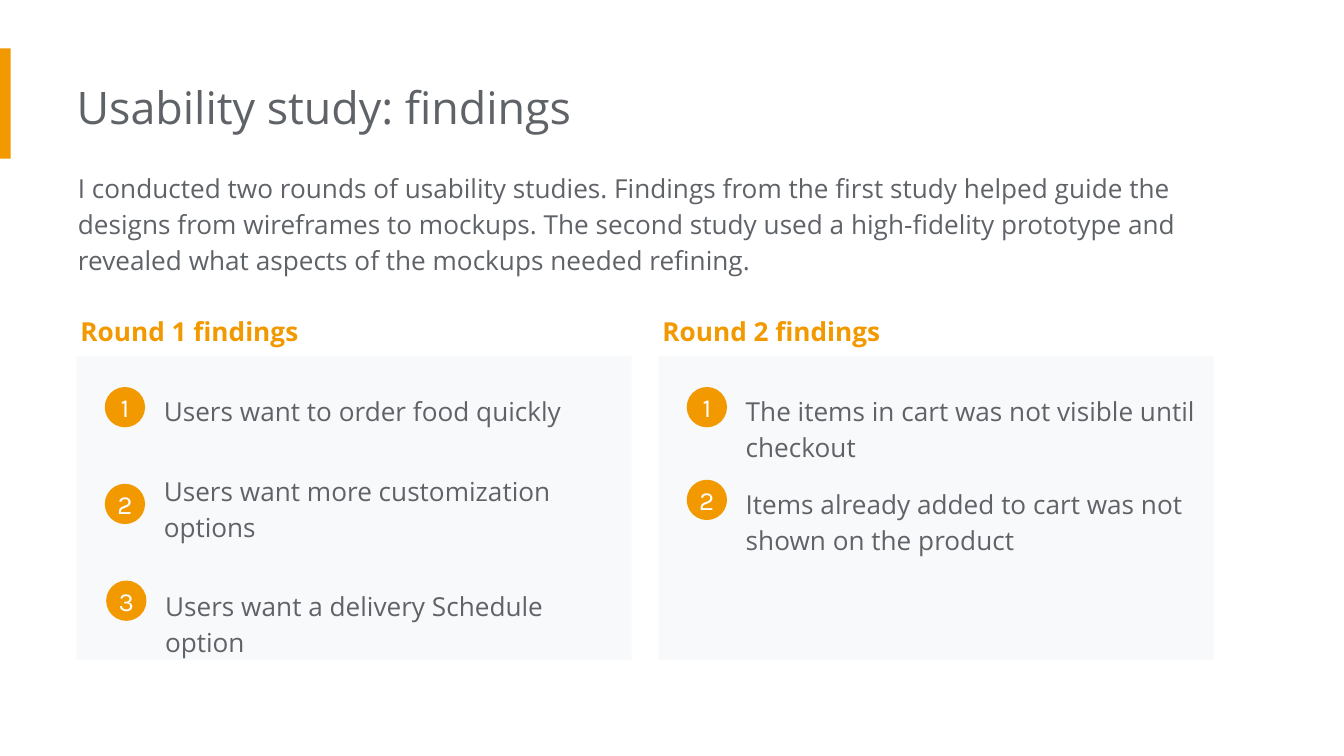
from pptx import Presentation
from pptx.dml.color import RGBColor
from pptx.enum import shapes, text
from pptx.util import Inches, Pt

ORANGE = RGBColor(0xF2, 0x99, 0x00)
GRAY = RGBColor(0x5F, 0x63, 0x68)
PANEL = RGBColor(0xF8, 0xF9, 0xFA)
WHITE = RGBColor(0xFF, 0xFF, 0xFF)

TITLE = "Usability study: findings"
INTRO = (
    "I conducted two rounds of usability studies. Findings from the first study "
    "helped guide the designs from wireframes to mockups. The second study used a "
    "high-fidelity prototype and revealed what aspects of the mockups needed refining."
)
ROUNDS = [
    ("Round 1 findings", [
        {"finding": "Users want to order food quickly",
         "top": 2.81, "height": 0.47, "badge_top": 2.88},
        {"finding": "Users want more customization options",
         "top": 3.4, "height": 0.71, "badge_top": 3.6},
        {"finding": "Users want a delivery Schedule option",
         "top": 4.26, "height": 0.74, "badge_top": 4.32, "shift": 0.01},
    ]),
    ("Round 2 findings", [
        {"finding": "The items in cart was not visible until checkout",
         "top": 2.81, "height": 0.74, "badge_top": 2.88},
        {"finding": "Items already added to cart was not shown on the product",
         "top": 3.5, "height": 0.74, "badge_top": 3.57},
    ]),
]

LEFT, COLUMN_STEP = 0.57, 4.33
PANEL_TOP, PANEL_WIDTH, PANEL_HEIGHT = 2.65, 4.13, 2.26
TEXT_WIDTH, BADGE_SIZE = 3.65, 0.3

BODY = {"name": "Open Sans", "size": Pt(14), "bold": False}
HEADING = {**BODY, "bold": True}
TITLE_FONT = {**BODY, "size": Pt(24)}
BADGE_FONT = {**BODY, "name": "Karla"}


def write(frame, content, font, color, paragraph_format):
    paragraph = frame.paragraphs[0]
    for key, value in paragraph_format.items():
        setattr(paragraph, key, value)
    run = paragraph.add_run()
    run.text = content
    for key, value in font.items():
        setattr(run.font, key, value)
    run.font.color.rgb = color


def add_text(slide, content, box, font=BODY, color=GRAY, inset=0.1, spacing=1.15):
    frame = slide.shapes.add_textbox(*map(Inches, box)).text_frame
    settings = {
        "word_wrap": True,
        "auto_size": text.MSO_AUTO_SIZE.SHAPE_TO_FIT_TEXT,
        "margin_left": Inches(inset),
        "margin_right": Inches(0.1),
        "margin_top": Inches(0.1),
        "margin_bottom": Inches(0.1),
    }
    for key, value in settings.items():
        setattr(frame, key, value)
    write(frame, content, font, color, {"line_spacing": spacing})


def add_block(slide, kind, box, color):
    block = slide.shapes.add_shape(kind, *map(Inches, box))
    block.shadow.inherit = False
    block.fill.solid()
    block.fill.fore_color.rgb = color
    block.line.fill.background()
    return block


def add_badge(slide, number, left, top):
    badge = add_block(slide, shapes.MSO_SHAPE.OVAL,
                      (left, top, BADGE_SIZE, BADGE_SIZE), ORANGE)
    frame = badge.text_frame
    for side in ("left", "right", "top", "bottom"):
        setattr(frame, f"margin_{side}", 0)
    frame.vertical_anchor = text.MSO_ANCHOR.MIDDLE
    write(frame, str(number), BADGE_FONT, WHITE, {"alignment": text.PP_ALIGN.CENTER})


def add_round(slide, left, heading, findings):
    add_block(slide, shapes.MSO_SHAPE.RECTANGLE,
              (left, PANEL_TOP, PANEL_WIDTH, PANEL_HEIGHT), PANEL)
    for number, item in enumerate(findings, 1):
        item_left = left + item.get("shift", 0)
        add_text(slide, item["finding"],
                 (item_left + 0.55, item["top"], TEXT_WIDTH, item["height"]))
        add_badge(slide, number, item_left + 0.21, item["badge_top"])
    add_text(slide, heading, (left - 0.07, 2.21, TEXT_WIDTH, 0.44), HEADING, ORANGE)


def main():
    deck = Presentation()
    deck.slide_width = Inches(10)
    deck.slide_height = deck.slide_width * 9 // 16
    slide = deck.slides.add_slide(deck.slide_layouts[6])

    add_block(slide, shapes.MSO_SHAPE.RECTANGLE, (0, 0.36, 0.08, 0.82), ORANGE)
    add_text(slide, TITLE, (LEFT, 0.49, 6.73, 0.61), TITLE_FONT, inset=0, spacing=1.0)
    add_text(slide, INTRO, (0.58, 1.15, 8.61, 0.98), inset=0)
    for column, (heading, findings) in enumerate(ROUNDS):
        add_round(slide, LEFT + column * COLUMN_STEP, heading, findings)

    deck.save("out.pptx")


if __name__ == "__main__":
    main()
